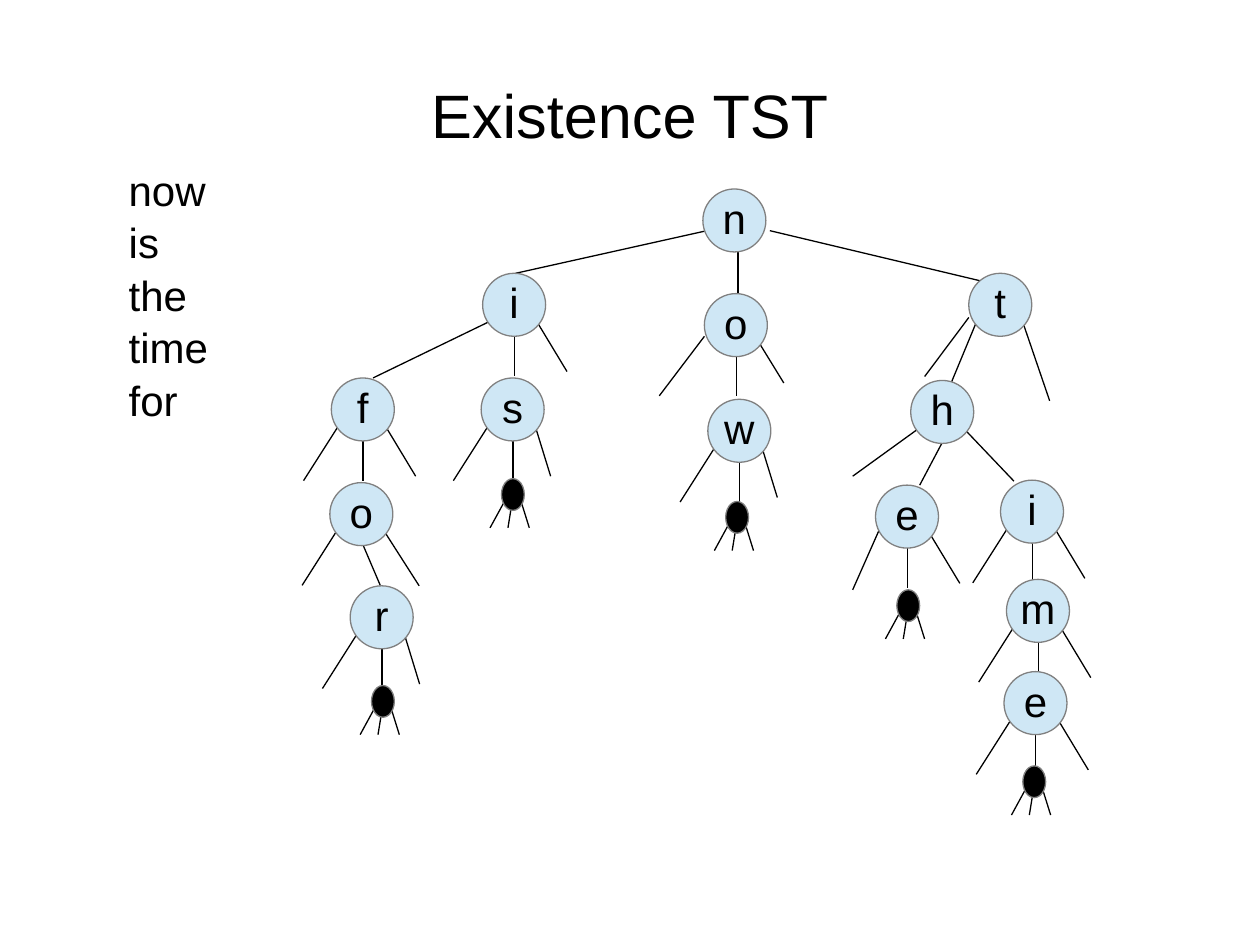
import pptx
import pptx.util
import pptx.dml.color
import pptx.enum.shapes
import pptx.enum.text
import lxml.etree
import pptx.oxml.ns

Cm = pptx.util.Cm
Pt = pptx.util.Pt
RGBColor = pptx.dml.color.RGBColor
Align = pptx.enum.text.PP_ALIGN
Anchor = pptx.enum.text.MSO_ANCHOR
qn = pptx.oxml.ns.qn

BLACK = RGBColor(0x00, 0x00, 0x00)
GREY = RGBColor(0x80, 0x80, 0x80)
SKY = RGBColor(0xCF, 0xE7, 0xF5)

LEFT = (0.14, 0.97, -0.56, 2.07)
MID = (0.64, 1.19, 0.64, 2.07)
RIGHT = (1.09, 0.97, 1.7, 1.98)
STEEP = (1.09, 0.97, 1.4, 1.98)
TWIGS = [(0.13, 0.33, -0.23, 0.99), (0.41, 0.51, 0.56, 0.99), (0.2, 0.56, 0.13, 0.99)]

nodes = [
    ("n", 14.17, 3.81, [(0.08, 0.84, -3.78, 1.7), (0.71, 1.27, 0.71, 2.16), (1.35, 0.84, 5.71, 1.88)]),
    ("i", 9.73, 5.51, [(0.14, 0.97, -2.21, 2.11), MID, RIGHT]),
    ("o", 14.2, 5.92, [(0, 0.86, -0.91, 2.06), MID, (1.09, 0.97, 1.6, 1.8)]),
    ("t", 19.53, 5.51, [(0, 0.89, -0.89, 2.08), (0.15, 0.99, -0.46, 2.46), (1.09, 0.99, 1.63, 2.57)]),
    ("f", 6.68, 7.62, [LEFT, MID, RIGHT]),
    ("s", 9.7, 7.62, [LEFT, MID, STEEP]),
    ("w", 14.27, 8.05, [LEFT, MID, STEEP]),
    ("h", 18.36, 7.67, [(0.13, 0.99, -1.17, 1.93), (0.64, 1.24, 0.18, 2.11), (1.09, 0.99, 2.08, 2.03)]),
    ("o", 6.65, 9.73, [LEFT, (0.64, 1.19, 1.02, 2.08), (1.09, 0.97, 1.8, 2.08)]),
    ("e", 17.65, 9.78, [(0.08, 0.89, -0.46, 2.11), MID, RIGHT]),
    ("i", 20.17, 9.68, [LEFT, MID, RIGHT]),
    ("r", 7.06, 11.81, [LEFT, MID, STEEP]),
    ("m", 20.29, 11.68, [LEFT, MID, RIGHT]),
    ("e", 20.24, 13.54, [LEFT, MID, RIGHT]),
]
dots = [(14.63, 10.11), (10.11, 9.65), (18.08, 11.89), (20.62, 15.44), (7.49, 13.82)]

deck = pptx.Presentation()
deck.slide_width = Cm(25.4)
deck.slide_height = Cm(19.05)
slide = deck.slides.add_slide(deck.slide_layouts[1])
shapes = slide.shapes


def add_lines(x, y, lines):
    for x1, y1, x2, y2 in lines:
        line = shapes.add_connector(
            pptx.enum.shapes.MSO_CONNECTOR.STRAIGHT,
            Cm(x + x1), Cm(y + y1), Cm(x + x2), Cm(y + y2))
        line.line.color.rgb = BLACK
        line.line.width = Pt(0.75)
        lxml.etree.SubElement(line._element.spPr, qn("a:effectLst"))


def add_oval(x, y, wide, high, fill):
    oval = shapes.add_shape(
        pptx.enum.shapes.MSO_SHAPE.OVAL, Cm(x), Cm(y), Cm(wide), Cm(high))
    oval.shadow.inherit = False
    oval.fill.solid()
    oval.fill.fore_color.rgb = fill
    oval.line.color.rgb = GREY
    oval.line.width = Pt(0.75)
    return oval


title = shapes.title
title.left, title.top, title.width, title.height = Cm(1.9), Cm(1.32), Cm(21.6), Cm(2.11)
title.text_frame.auto_size = pptx.enum.text.MSO_AUTO_SIZE.NONE
title.text_frame.vertical_anchor = Anchor.MIDDLE
para = title.text_frame.paragraphs[0]
para.alignment = Align.CENTER
para.line_spacing = 0.93
run = para.add_run()
run.text = "Existence TST"
run.font.name = "Arial"
run.font.size = Pt(35)
run.font.color.rgb = BLACK

body = slide.placeholders[1]
body.left, body.top, body.width, body.height = Cm(2.21), Cm(3.15), Cm(5.31), Cm(6.35)
frame = body.text_frame
frame.auto_size = pptx.enum.text.MSO_AUTO_SIZE.NONE
frame.vertical_anchor = Anchor.TOP
for spot, word in enumerate(["now", "is", "the", "time", "for"]):
    para = frame.add_paragraph() if spot else frame.paragraphs[0]
    para.line_spacing = 1.04
    para.space_before = Pt(0)
    props = para._p.get_or_add_pPr()
    props.set("marL", str(Cm(0.13)))
    props.set("indent", "0")
    lxml.etree.SubElement(props, qn("a:buNone"))
    run = para.add_run()
    run.text = word
    run.font.name = "Arial"
    run.font.size = Pt(24)
    run.font.color.rgb = BLACK

for name, x, y, lines in nodes:
    add_lines(x, y, lines)
for x, y in dots:
    add_lines(x, y, TWIGS)

for name, x, y, lines in nodes:
    node = add_oval(x, y, 1.27, 1.27, SKY)
    node.text_frame.word_wrap = False
    node.text_frame.vertical_anchor = Anchor.MIDDLE
    para = node.text_frame.paragraphs[0]
    para.alignment = Align.CENTER
    para.line_spacing = 0.93
    run = para.add_run()
    run.text = name
    run.font.name = "Arial"
    run.font.size = Pt(24)
    run.font.color.rgb = BLACK
for x, y in dots:
    add_oval(x, y, 0.46, 0.64, BLACK)

deck.save("out.pptx")
